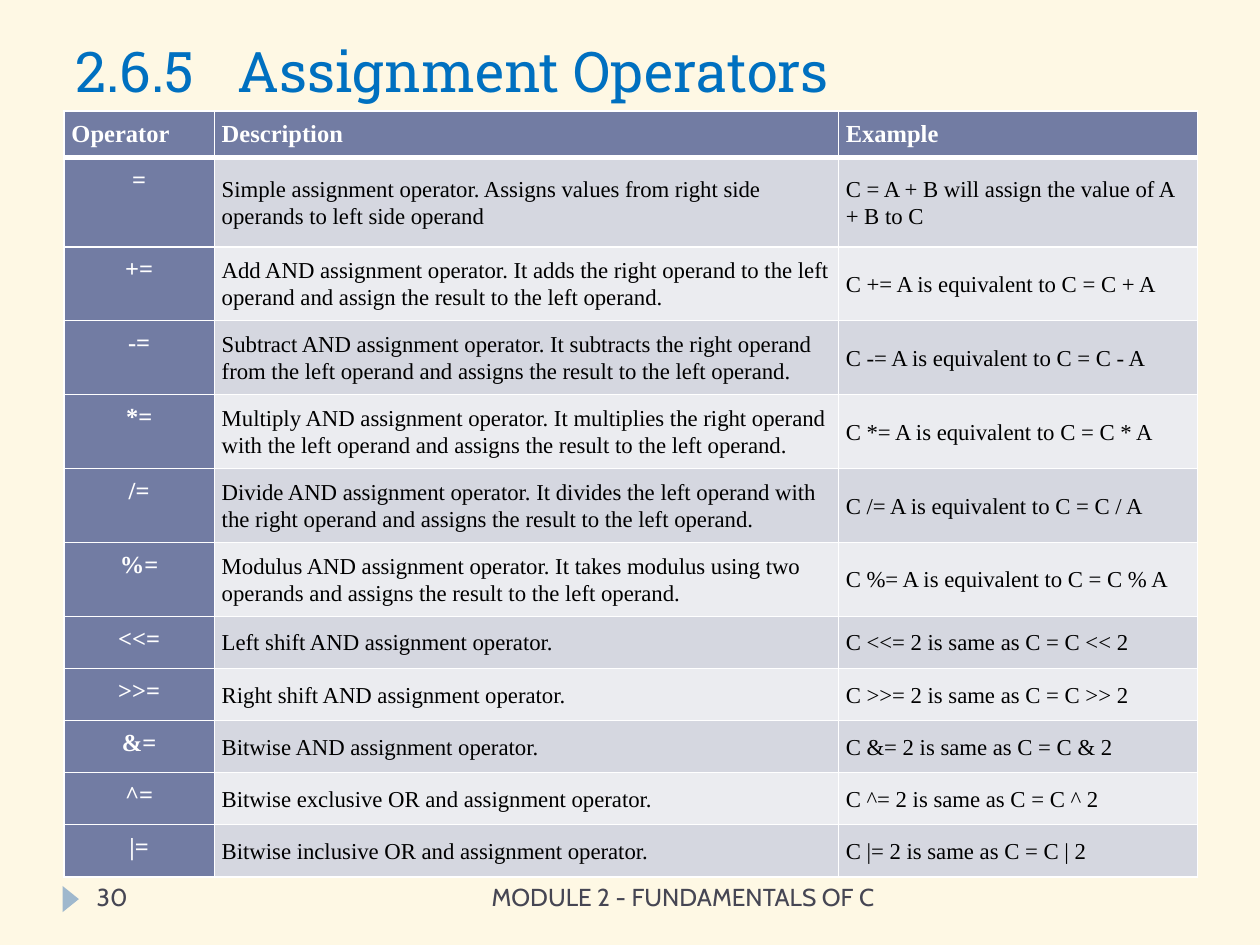
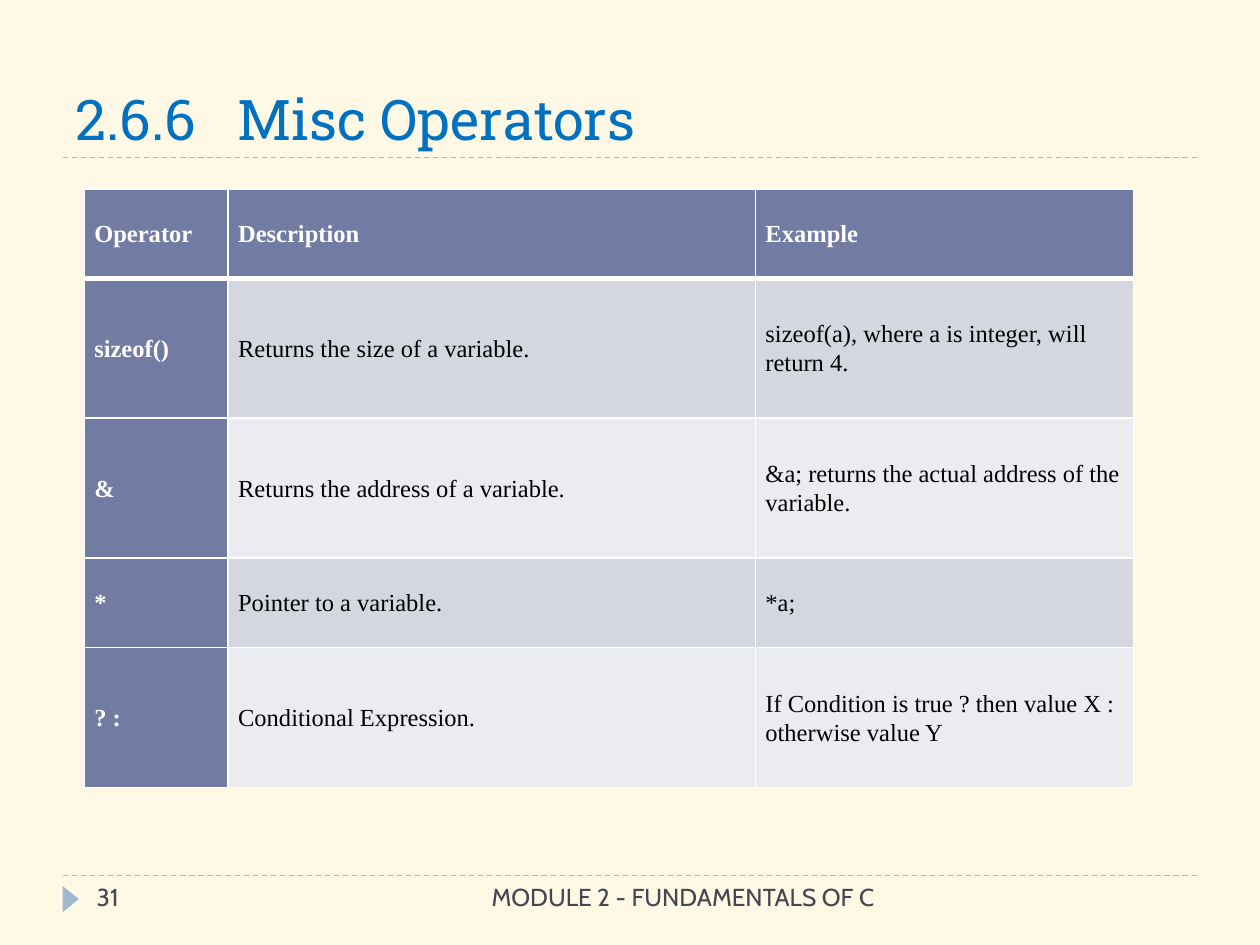
from lxml.etree import SubElement
from pptx import Presentation
from pptx.dml.color import RGBColor
from pptx.enum.dml import MSO_LINE_DASH_STYLE as Dash
from pptx.enum.shapes import MSO_CONNECTOR as Connector, MSO_SHAPE as Shape
from pptx.enum.text import MSO_ANCHOR as Anchor, MSO_AUTO_SIZE as AutoSize, PP_ALIGN as Align
from pptx.oxml import parse_xml
from pptx.oxml.ns import nsdecls, qn
from pptx.util import Cm, Pt

CREAM, WHITE, BLACK = "FEF8E4", "FFFFFF", "000000"
TITLE_BLUE, PALE_BLUE, FOOTER_GREY = "0070C0", "9FB8CD", "464653"
HEADER_FILL, BAND_FILLS = "727CA3", ("D5D7E0", "EBECF0")
TITLE_FONT, FOOTER_FONT, TABLE_FONT = "Roboto Slab", "Cabin", "Times New Roman"
LEFT, WIDTH, TITLE_RULE, FOOTER_RULE = 1.27, 22.86, 3.18, 17.65
FOOTER = "MODULE 2 - FUNDAMENTALS OF C"
HEADINGS = ("Operator", "Description", "Example")

ASSIGNMENT_ROWS = [
    ("=", "Simple assignment operator. Assigns values from right side operands to left side operand",
     "C = A + B will assign the value of A + B to C"),
    ("+=", "Add AND assignment operator. It adds the right operand to the left operand "
     "and assign the result to the left operand.", "C += A is equivalent to C = C + A"),
    ("-=", "Subtract AND assignment operator. It subtracts the right operand from the left operand "
     "and assigns the result to the left operand.", "C -= A is equivalent to C = C - A"),
    ("*=", "Multiply AND assignment operator. It multiplies the right operand with the left operand "
     "and assigns the result to the left operand.", "C *= A is equivalent to C = C * A"),
    ("/=", "Divide AND assignment operator. It divides the left operand with the right operand "
     "and assigns the result to the left operand.", "C /= A is equivalent to C = C / A"),
    ("%=", "Modulus AND assignment operator. It takes modulus using two operands "
     "and assigns the result to the left operand.", "C %= A is equivalent to C = C % A"),
    ("<<=", "Left shift AND assignment operator.", "C <<= 2 is same as C = C << 2"),
    (">>=", "Right shift AND assignment operator.", "C >>= 2 is same as C = C >> 2"),
    ("&=", "Bitwise AND assignment operator.", "C &= 2 is same as C = C & 2"),
    ("^=", "Bitwise exclusive OR and assignment operator.", "C ^= 2 is same as C = C ^ 2"),
    ("|=", "Bitwise inclusive OR and assignment operator.", "C |= 2 is same as C = C | 2"),
]
MISC_ROWS = [
    ("sizeof()", "Returns the size of a variable.", "sizeof(a), where a is integer, will return 4."),
    ("&", "Returns the address of a variable.", "&a; returns the actual address of the variable."),
    ("*", "Pointer to a variable.", "*a;"),
    ("? :", "Conditional Expression.", "If Condition is true ? then value X : otherwise value Y"),
]
PAGES = [
    {"number": 30, "title": "2.6.5\tAssignment Operators", "title_top": 0.91, "title_bottom": 2.21,
     "rules": [FOOTER_RULE], "rows": ASSIGNMENT_ROWS, "corner": (1.29, 2.24),
     "widths": (3.03, 12.58, 7.24), "heights": [0.91, 1.8] + [1.49] * 5 + [1.05] * 5,
     "inset": 0.15, "body_size": 13, "label_align": Align.CENTER, "label_anchor": Anchor.TOP},
    {"number": 31, "title": "2.6.6\tMisc Operators", "title_top": 0.43, "title_bottom": TITLE_RULE,
     "rules": [TITLE_RULE, FOOTER_RULE], "rows": MISC_ROWS, "corner": (1.7, 3.81),
     "widths": (2.9, 10.63, 7.62), "heights": [1.8, 2.82, 2.82, 1.8, 2.82],
     "inset": 0.2, "body_size": 14, "label_align": Align.LEFT, "label_anchor": Anchor.MIDDLE},
]


def colour(value):
    """Turn a hex string into a colour."""
    return RGBColor.from_string(value)


def format_runs(para, font, size, tint, bold=False):
    """Give every run of a paragraph the same look."""
    for span in para.runs:
        span.font.name, span.font.size, span.font.bold = font, Pt(size), bold
        span.font.color.rgb = colour(tint)


def add_title(page, text, top, bottom):
    """Place the title so that it stands on its bottom edge."""
    title = page.shapes.title
    title.left, title.top, title.width, title.height = Cm(LEFT), Cm(top), Cm(WIDTH), Cm(bottom - top)
    frame = title.text_frame
    frame.text = text
    frame.auto_size, frame.vertical_anchor = AutoSize.NONE, Anchor.BOTTOM
    para = frame.paragraphs[0]
    para.alignment = Align.LEFT
    tabs = SubElement(para._p.get_or_add_pPr(), qn("a:tabLst"))
    SubElement(tabs, qn("a:tab"), pos=str(Cm(3.26)), algn="l")
    format_runs(para, TITLE_FONT, 32, TITLE_BLUE)


def add_rule(page, top):
    """Draw a dashed line across the page."""
    rule = page.shapes.add_connector(Connector.STRAIGHT, Cm(LEFT), Cm(top), Cm(LEFT + WIDTH), Cm(top))
    rule.line.color.rgb, rule.line.width = colour(PALE_BLUE), Pt(0.75)
    rule.line.dash_style = Dash.DASH
    SubElement(rule._element.spPr, qn("a:effectLst"))


def add_footer_text(page, text, left, width, align):
    """Write one part of the footer."""
    box = page.shapes.add_textbox(Cm(left), Cm(FOOTER_RULE), Cm(width), Cm(1.02))
    frame = box.text_frame
    frame.word_wrap, frame.text = True, text
    frame.paragraphs[0].alignment = align
    format_runs(frame.paragraphs[0], FOOTER_FONT, 14, FOOTER_GREY)


def add_frame(page, number, rules):
    """Add the rules, the page marker and the footer."""
    for top in rules:
        add_rule(page, top)
    marker = page.shapes.add_shape(Shape.ISOSCELES_TRIANGLE, Cm(1.16), Cm(17.96), Cm(0.53), Cm(0.33))
    marker.rotation = 90
    marker.shadow.inherit = False
    marker.fill.solid()
    marker.fill.fore_color.rgb = colour(PALE_BLUE)
    marker.line.fill.background()
    add_footer_text(page, FOOTER, 8.05, 9.83, Align.RIGHT)
    add_footer_text(page, str(number), 1.7, 5.51, Align.LEFT)


def set_borders(cell, top, bottom):
    """Put white lines around a cell, with the given top and bottom widths."""
    sides = {"L": 1, "R": 1, "T": top, "B": bottom}
    for index, (side, points) in enumerate(sides.items()):
        line = parse_xml(f'<a:ln{side} {nsdecls("a")} w="{Pt(points)}"><a:solidFill>'
                         f'<a:srgbClr val="{WHITE}"/></a:solidFill></a:ln{side}>')
        cell._tc.get_or_add_tcPr().insert(index, line)


def fill_cell(cell, text, row, column, layout):
    """Write and format a cell according to its row and column."""
    strong = row == 0 or column == 0
    cell.text = text
    cell.margin_left = cell.margin_right = cell.margin_top = cell.margin_bottom = Cm(layout["inset"])
    cell.vertical_anchor = layout["label_anchor"] if strong else Anchor.MIDDLE
    cell.fill.solid()
    cell.fill.fore_color.rgb = colour(HEADER_FILL if strong else BAND_FILLS[(row - 1) % 2])
    set_borders(cell, 3 if row == 1 else 1, 3 if row == 0 else 1)
    para = cell.text_frame.paragraphs[0]
    para.line_spacing = 1.07
    para.alignment = layout["label_align"] if column == 0 and row > 0 else Align.LEFT
    format_runs(para, TABLE_FONT, 14 if strong else layout["body_size"], WHITE if strong else BLACK, strong)


def add_operator_table(page, layout):
    """Add the table of operators."""
    widths, heights = layout["widths"], layout["heights"]
    left, top = layout["corner"]
    table = page.shapes.add_table(len(heights), len(widths), Cm(left), Cm(top),
                                  Cm(sum(widths)), Cm(sum(heights))).table
    table.first_col = True
    for column, width in zip(table.columns, widths):
        column.width = Cm(width)
    for row, height in zip(table.rows, heights):
        row.height = Cm(height)
    for row, texts in enumerate([HEADINGS] + layout["rows"]):
        for column, text in enumerate(texts):
            fill_cell(table.cell(row, column), text, row, column, layout)


def main():
    """Build the deck and save it."""
    deck = Presentation()
    deck.slide_width, deck.slide_height = Cm(25.4), Cm(19.05)
    backdrop = deck.slide_master.background.fill
    backdrop.solid()
    backdrop.fore_color.rgb = colour(CREAM)
    for layout in PAGES:
        page = deck.slides.add_slide(deck.slide_layouts[5])
        add_frame(page, layout["number"], layout["rules"])
        add_title(page, layout["title"], layout["title_top"], layout["title_bottom"])
        add_operator_table(page, layout)
    deck.save("out.pptx")


if __name__ == "__main__":
    main()
